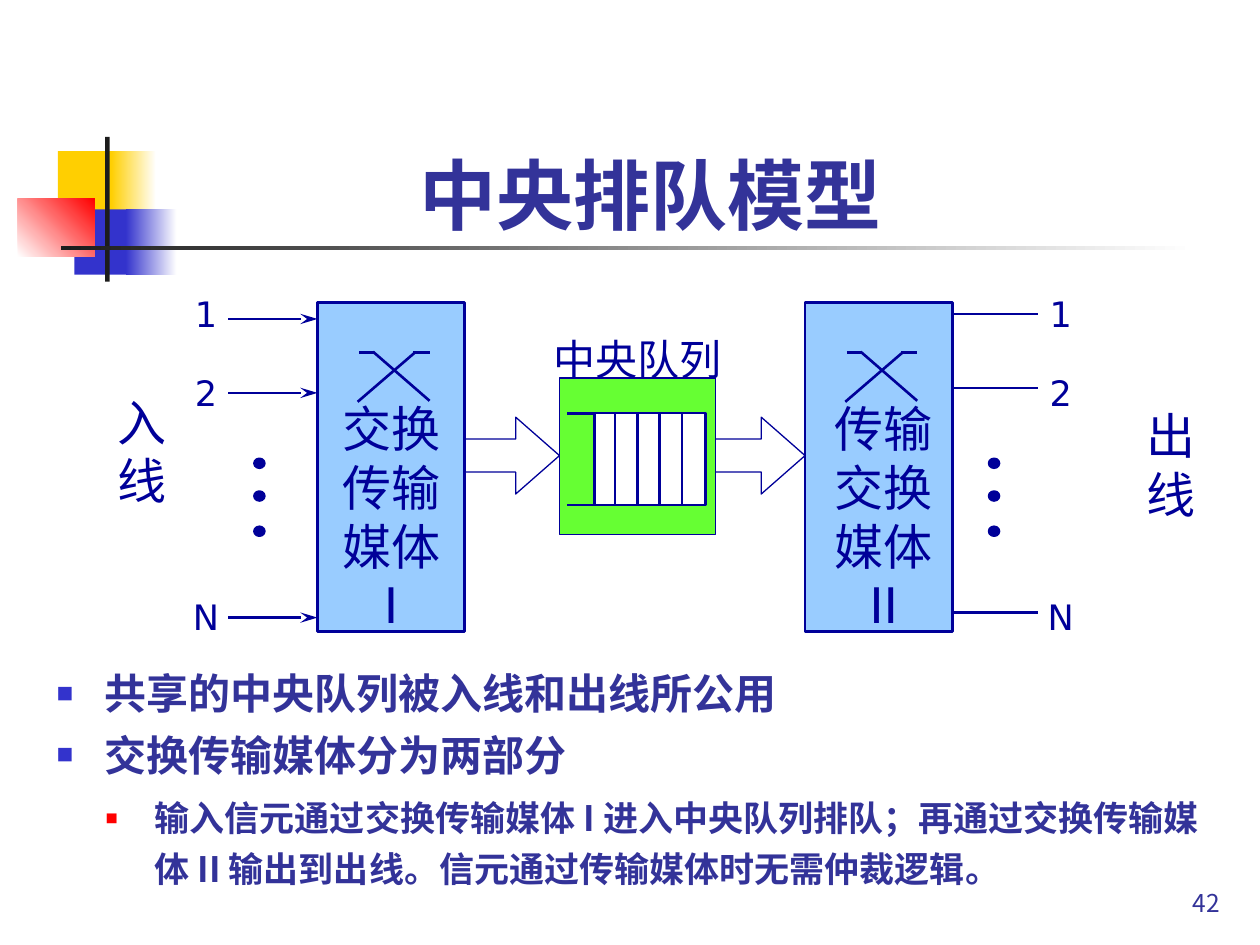
from dataclasses import dataclass
from typing import NamedTuple

from lxml import etree
from pptx import Presentation
from pptx import util as u
from pptx.dml.color import RGBColor
from pptx.enum import shapes as kinds
from pptx.enum import text as txt
from pptx.oxml import ns

Cm, Pt = u.Cm, u.Pt
KIND, ALIGN, ANCHOR = kinds.MSO_SHAPE, txt.PP_ALIGN, txt.MSO_ANCHOR


@dataclass(frozen=True)
class Theme:
    ink: str = "000099"
    head: str = "333399"
    gold: str = "FFCF01"
    blue: str = "3333CC"
    red: str = "FF0000"
    dark: str = "1C1C1C"
    white: str = "FFFFFF"
    sky: str = "99CCFF"
    green: str = "66FF33"
    sans: str = "DejaVu Sans"
    cjk: str = "Noto Sans CJK JP"
    title: int = 44
    large: int = 28
    queue: int = 24
    label: int = 20
    page: int = 14
    thin: float = 0.75
    thick: float = 1.5


T = Theme()


class Box(NamedTuple):
    x: float
    y: float
    w: float
    h: float


class Point(NamedTuple):
    words: str
    size: int
    left: float
    hang: float
    mark: str
    scale: int
    gap: int


class Side(NamedTuple):
    label: float
    start: float
    end: float
    shift: float
    dot: float
    tip: bool


def put(item, **vals) -> None:
    for name, val in vals.items():
        setattr(item, name, val)


def tint(hue: str) -> RGBColor:
    return RGBColor.from_string(hue)


def add(parent, tag: str, **vals):
    return etree.SubElement(parent, ns.qn(tag), **vals)


def shape(box: Box, fill: str, line: float = 0, kind=KIND.RECTANGLE):
    item = slide.shapes.add_shape(kind, *map(Cm, box))
    item.shadow.inherit = False
    item.fill.solid()
    item.fill.fore_color.rgb = tint(fill)
    if line:
        item.line.color.rgb = tint(T.ink)
        item.line.width = Pt(line)
    else:
        item.line.fill.background()
    return item


def fade(box: Box, first: str, last: str, angle: float = 0) -> None:
    fill = shape(box, first).fill
    fill.gradient()
    fill.gradient_angle = angle
    for stop, hue in zip(fill.gradient_stops, (first, last)):
        stop.color.rgb = tint(hue)


def line(x1: float, y1: float, x2: float, y2: float, tip: bool = False) -> None:
    item = slide.shapes.add_connector(kinds.MSO_CONNECTOR.STRAIGHT, *map(Cm, (x1, y1, x2, y2)))
    item.line.color.rgb = tint(T.ink)
    item.line.width = Pt(T.thick)
    if tip:
        add(item.line._get_or_add_ln(), "a:tailEnd", type="stealth", len="lg")
    add(item._element.spPr, "a:effectLst")


def write(para, words: str, size: int, hue: str, face: str, bold: bool = False) -> None:
    run = para.add_run()
    run.text = words
    put(run.font, size=Pt(size), name=face, bold=bold)
    run.font.color.rgb = tint(hue)
    add(run._r.get_or_add_rPr(), "a:ea", typeface=T.cjk)


def frame(box: Box, anchor=ANCHOR.MIDDLE, wrap: bool = False, inset: bool = True):
    body = slide.shapes.add_textbox(*map(Cm, box)).text_frame
    put(body, word_wrap=wrap, vertical_anchor=anchor)
    if not inset:
        sides = ("left", "right", "top", "bottom")
        put(body, **{f"margin_{side}": 0 for side in sides})
    return body


def stack(body, rows: list[str], size: int, align=ALIGN.CENTER,
          hue: str = T.ink, face: str = T.sans, bold: bool = False) -> None:
    for i, words in enumerate(rows):
        para = body.add_paragraph() if i else body.paragraphs[0]
        para.alignment = align
        write(para, words, size, hue, face, bold)


def switch(x: float, rows: list[str], nudge: float = 0) -> None:
    shape(Box(x, 6.1, 2.97, 6.63), T.sky, T.thick)
    line(x + 0.84, 7.11, x + 1.14, 7.11)
    line(x + 1.12, 7.09, x + 2.26, 8.08)
    line(x + 0.81, 8.1, x + 1.96, 7.11)
    line(x + 1.93, 7.11, x + 2.26, 7.11)
    stack(frame(Box(x + nudge, 8.13, 2.97, 4.55)), rows, T.large)


def ports(side: Side) -> None:
    for name, y in (("1", 5.95), ("2", 7.53), ("N", 12.04)):
        stack(frame(Box(side.label, y, 0.91, 0.76), inset=False), [name], T.label)
    for y in (6.43, 7.92, 12.45):
        line(side.start, y + side.shift, side.end, y + side.shift, side.tip)
    for y in (9.25, 9.91, 10.62):
        shape(Box(side.dot, y, 0.2, 0.18), T.ink, T.thick, KIND.OVAL)


def bullet(para, item: Point) -> None:
    props = para._p.get_or_add_pPr()
    props.set("marL", str(Cm(item.left)))
    props.set("indent", str(-Cm(item.hang)))
    put(para, line_spacing=Pt(29), space_before=Pt(item.gap))
    add(add(props, "a:buClr"), "a:srgbClr", val=item.mark)
    add(props, "a:buSzPct", val=str(item.scale * 1000))
    add(props, "a:buFont", typeface=T.cjk)
    add(props, "a:buChar", char="■")
    write(para, item.words, item.size, T.head, T.cjk, True)


deck = Presentation()
put(deck, slide_width=Cm(25.4), slide_height=Cm(19.05))
slide = deck.slides.add_slide(deck.slide_layouts[6])

# Corner ornament and title rule
shape(Box(1.17, 3.05, 1.22, 1.32), T.gold)
fade(Box(2.24, 3.05, 0.91, 1.32), T.gold, T.white)
shape(Box(1.5, 4.22, 1.17, 1.32), T.blue)
fade(Box(2.54, 4.22, 1.02, 1.32), T.blue, T.white)
fade(Box(0.36, 4.01, 1.55, 1.17), T.white, T.red, 45)
shape(Box(2.12, 2.76, 0.09, 2.92), T.dark)
fade(Box(1.23, 4.95, 22.86, 0.09), T.dark, T.white)

# Title and page number
stack(frame(Box(2.29, 0.91, 21.64, 4.06), ANCHOR.BOTTOM, True),
      ["中央排队模型"], T.title, hue=T.head, face=T.cjk, bold=True)
stack(frame(Box(19.56, 17.35, 5.28, 1.27), ANCHOR.BOTTOM, True),
      ["42"], T.page, ALIGN.RIGHT, T.head, T.cjk)

# Switches and their ports
switch(6.4, ["交换", "传输", "媒体", "I"])
switch(16.23, ["传输", "交换", "媒体", "II"], 0.1)
ports(Side(3.7, 4.6, 6.4, 0, 5.13, True))
ports(Side(20.93, 19.2, 20.93, -0.1, 19.94, False))
stack(frame(Box(1.7, 8, 2.31, 2.18)), ["入", "线"], T.large)
stack(frame(Box(22.45, 8.28, 1.65, 2.16), inset=False), ["出", "线"], T.large, ALIGN.RIGHT)

# Block arrows, tucked behind the queue
for x in (9.38, 14.33):
    arrow = shape(Box(x, 8.41, 1.9, 1.55), T.white, T.thin, KIND.RIGHT_ARROW)
    for i, ratio in enumerate((0.43, 0.57)):
        arrow.adjustments[i] = ratio

# Central queue
shape(Box(11.28, 7.62, 3.15, 3.15), T.green, T.thin)
shape(Box(11.99, 8.33, 2.24, 1.85), T.white, T.thick)
for y in (8.33, 10.18):
    line(11.99, y, 11.43, y)
for i in range(4):
    x = 12.4 + 0.45 * i
    line(x, 8.33, x, 10.18)
stack(frame(Box(10.75, 6.3, 4.2, 1.85), inset=False), ["中央队列"], T.queue)

# Bullet points
points = [
    Point("共享的中央队列被入线和出线所公用", T.queue, 0.97, 0.97, T.blue, 40, 0),
    Point("交换传输媒体分为两部分", T.queue, 0.97, 0.97, T.blue, 40, 6),
    Point("输入信元通过交换传输媒体 I 进入中央队列排队；再通过交换传输媒体 II "
          "输出到出线。信元通过传输媒体时无需仲裁逻辑。", T.label, 1.98, 0.99, T.red, 35, 5),
]
body = frame(Box(0.89, 13.33, 23.8, 4.6), ANCHOR.TOP, True)
for i, item in enumerate(points):
    para = body.add_paragraph() if i else body.paragraphs[0]
    para.level = int(item.size == T.label)
    bullet(para, item)

deck.save("out.pptx")
